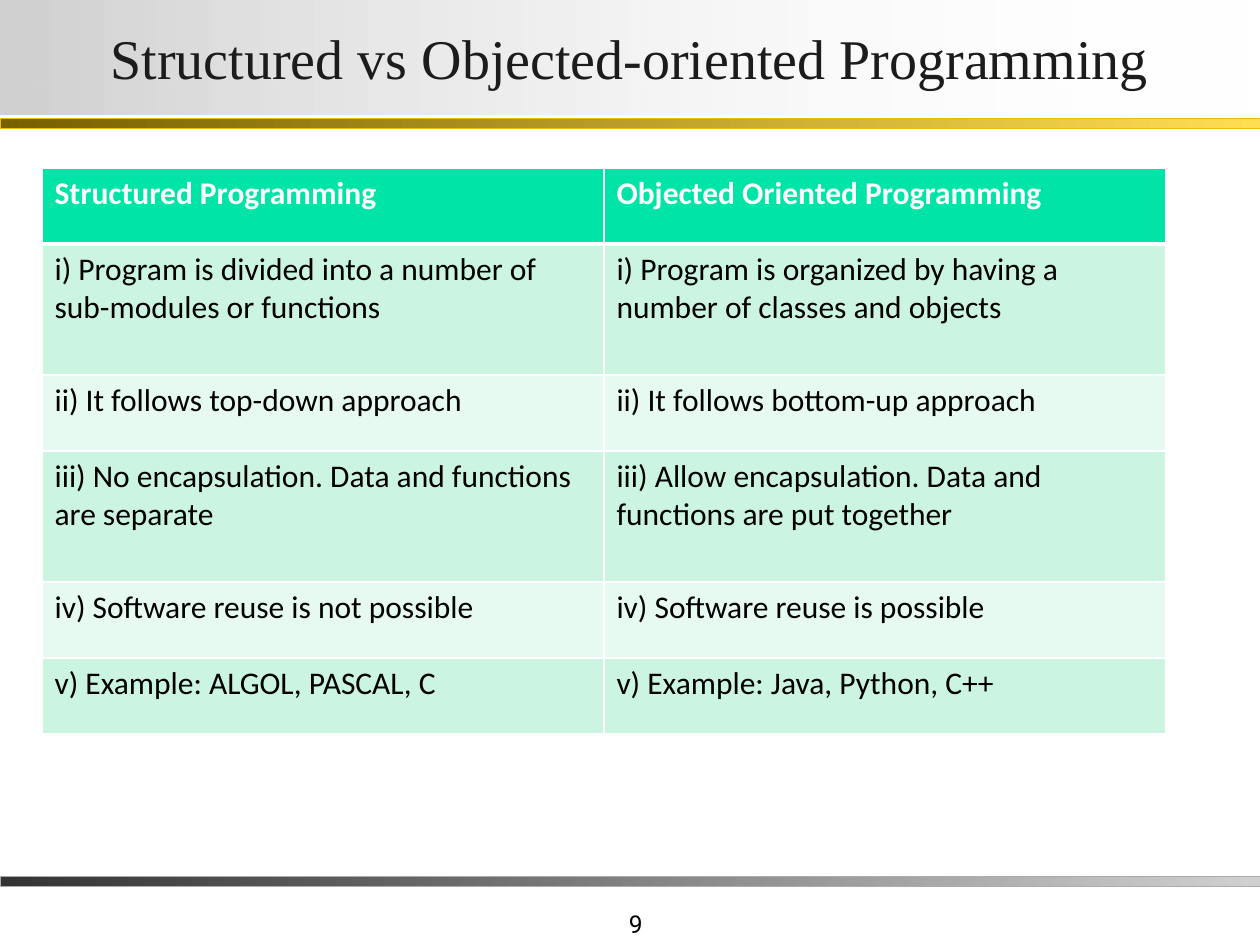
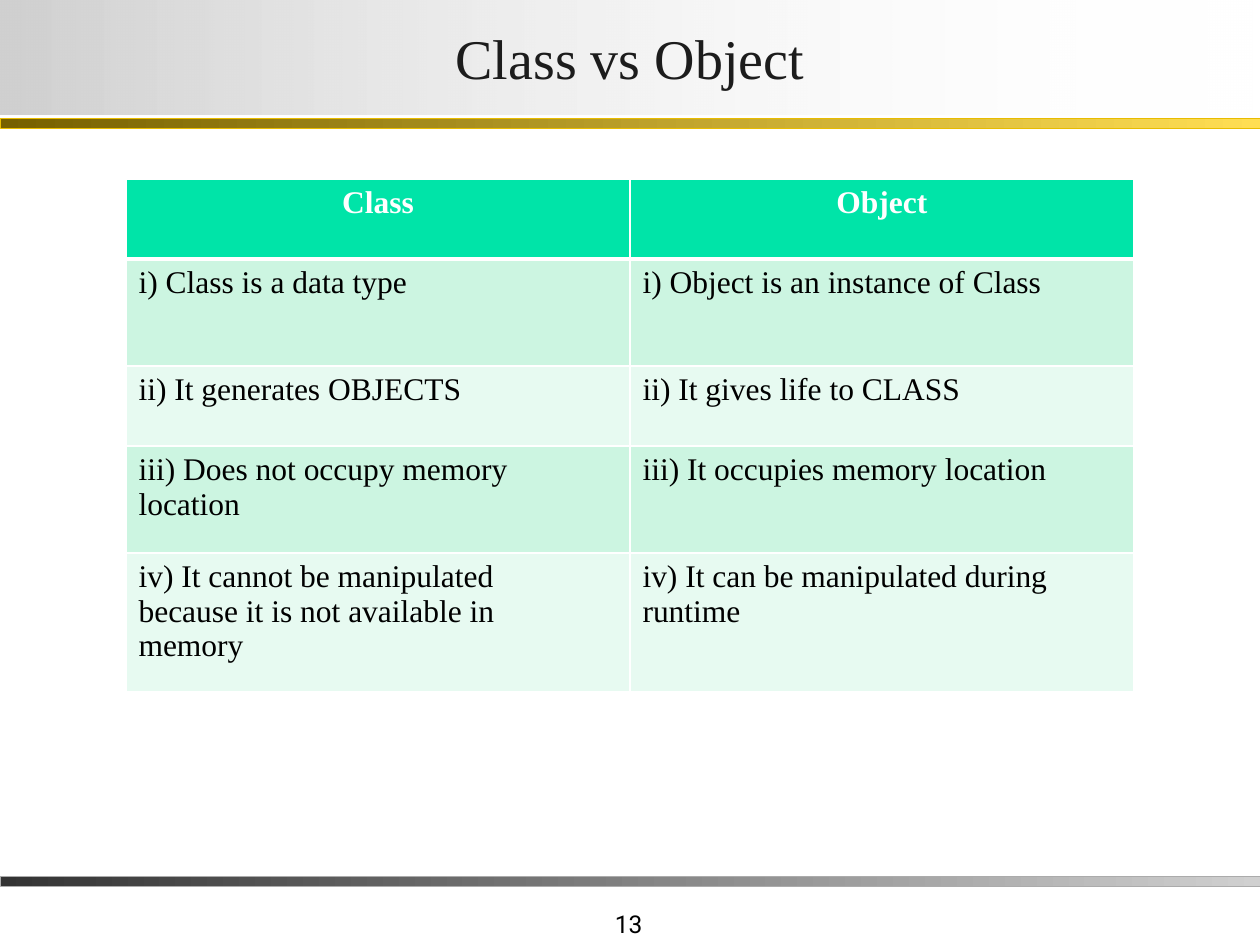
"""Build two comparison-table slides with a shared title band, rules and page number."""
from lxml import etree
from pptx import Presentation, util as u
from pptx.dml.color import RGBColor
from pptx.enum import shapes, text
from pptx.oxml.ns import qn

PX = 914400 // 126
COLOURS = {
    "title": "1C1C1C", "black": "000000", "white": "FFFFFF",
    "silver": "D0D0D0", "charcoal": "333333", "grey_line": "ABABAB",
    "bronze": "766000", "gold": "FFDE53", "gold_line": "E8BC00",
    "header": "00E4A8", "mint": "CCF5E1", "pale": "E7FAF1",
}
INK = {name: RGBColor.from_string(value) for name, value in COLOURS.items()}
LEFT, CENTRE, RIGHT = text.PP_ALIGN.LEFT, text.PP_ALIGN.CENTER, text.PP_ALIGN.RIGHT
WIDTH, HEIGHT = 1260, 945

BANDS = [
    (876, 10, "charcoal", "silver", "grey_line"),
    (118, 10, "bronze", "gold", "gold_line"),
    (0, 115, "silver", "white", None),
]

PAGES = [
    {
        "title": "Structured vs Objected-oriented Programming", "number": "9",
        "font": "Calibri", "header_align": LEFT,
        "at": (42, 168), "column": 562, "rows": [76, 131, 76, 131, 76, 76],
        "cells": [
            ("Structured Programming", "Objected Oriented Programming"),
            ("i) Program is divided into a number of sub-modules or functions",
             "i) Program is organized by having a number of classes and objects"),
            ("ii) It follows top-down approach", "ii) It follows bottom-up approach"),
            ("iii) No encapsulation. Data and functions are separate",
             "iii) Allow encapsulation. Data and functions are put together"),
            ("iv) Software reuse is not possible", "iv) Software reuse is possible"),
            ("v) Example: ALGOL, PASCAL, C", "v) Example: Java, Python, C++"),
        ],
    },
    {
        "title": "Class vs Object", "number": "13",
        "font": "Times New Roman", "header_align": CENTRE,
        "at": (126, 179), "column": 504, "rows": [80, 107, 80, 107, 139],
        "cells": [
            ("Class", "Object"),
            ("i) Class is a data type", "i) Object is an instance of Class"),
            ("ii) It generates OBJECTS", "ii) It gives life to CLASS"),
            ("iii) Does not occupy memory\nlocation", "iii) It occupies memory location"),
            ("iv) It cannot be manipulated\nbecause it is not available in\nmemory",
             "iv) It can be manipulated during runtime"),
        ],
    },
]


def write(frame, words, align, colour, **font):
    frame.text = words
    for para in frame.paragraphs:
        para.alignment = align
        for span in para.runs:
            span.font.color.rgb = INK[colour]
            for name, value in font.items():
                setattr(span.font, name, value)


def add_borders(cell, widths):
    for index, (side, points) in enumerate(widths.items()):
        line = etree.Element(qn(f"a:ln{side}"), w=str(u.Pt(points)))
        fill = etree.SubElement(line, qn("a:solidFill"))
        etree.SubElement(fill, qn("a:srgbClr"), val=COLOURS["white"])
        cell._tc.get_or_add_tcPr().insert(index, line)


deck = Presentation()
deck.slide_width, deck.slide_height = WIDTH * PX, HEIGHT * PX

for content in PAGES:
    page = deck.slides.add_slide(deck.slide_layouts[6])

    number = page.shapes.add_textbox(393 * PX, 882 * PX, 262 * PX, 63 * PX).text_frame
    number.word_wrap = True
    number.vertical_anchor = text.MSO_ANCHOR.BOTTOM
    write(number, content["number"], RIGHT, "black", name="Roboto", size=u.Pt(14))

    for top, height, start, end, outline in BANDS:
        box = page.shapes.add_shape(shapes.MSO_SHAPE.RECTANGLE, 0, top * PX, WIDTH * PX, height * PX)
        box.shadow.inherit = False
        box.fill.gradient()
        box.fill.gradient_angle = 0
        for stop, colour in zip(box.fill.gradient_stops, (start, end)):
            stop.color.rgb = INK[colour]
        if outline:
            box.line.color.rgb = INK[outline]
            box.line.width = u.Pt(0.25)
        else:
            box.line.fill.background()
            clear_end = box.element.findall(".//" + qn("a:gs"))[-1][0]
            etree.SubElement(clear_end, qn("a:alpha"), val="0")
            frame = box.text_frame
            settings = {"margin_left": 2 * PX, "margin_right": 2 * PX, "margin_top": PX,
                        "margin_bottom": PX, "word_wrap": True,
                        "vertical_anchor": text.MSO_ANCHOR.MIDDLE}
            for name, value in settings.items():
                setattr(frame, name, value)
            write(frame, content["title"], CENTRE, "title", name="Times New Roman", size=u.Pt(32))

    left, top = content["at"]
    rows, column = content["rows"], content["column"]
    table = page.shapes.add_table(len(rows), 2, left * PX, top * PX,
                                  2 * column * PX, sum(rows) * PX).table
    table.first_row = table.horz_banding = False
    for r, (height, words) in enumerate(zip(rows, content["cells"])):
        table.rows[r].height = height * PX
        header = r == 0
        shade = "header" if header else ("pale", "mint")[r % 2]
        for c, phrase in enumerate(words):
            table.columns[c].width = column * PX
            cell = table.cell(r, c)
            cell.fill.solid()
            cell.fill.fore_color.rgb = INK[shade]
            write(cell.text_frame, phrase, content["header_align"] if header else LEFT,
                  "white" if header else "black",
                  name=content["font"], size=u.Pt(18), bold=header)
            add_borders(cell, {"L": 1, "R": 1, "T": 3 if r == 1 else 1, "B": 3 if header else 1})

deck.save("out.pptx")
